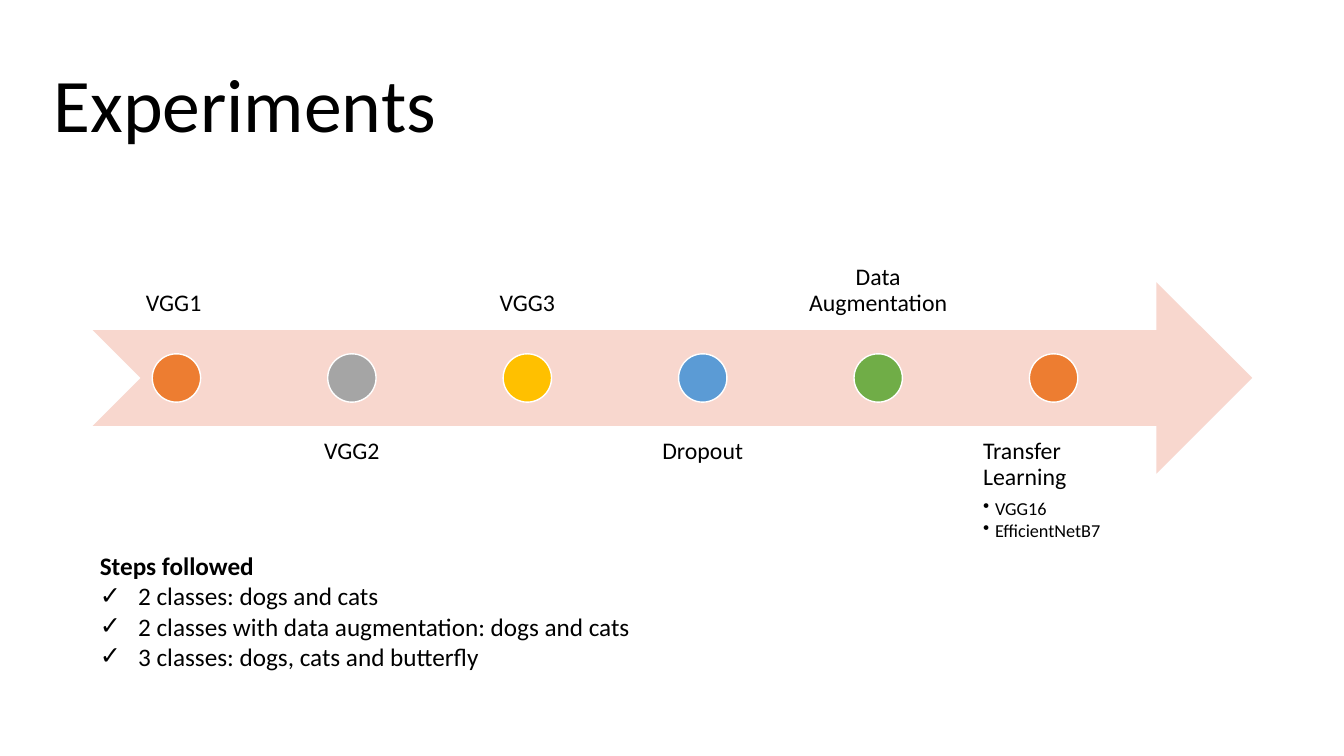
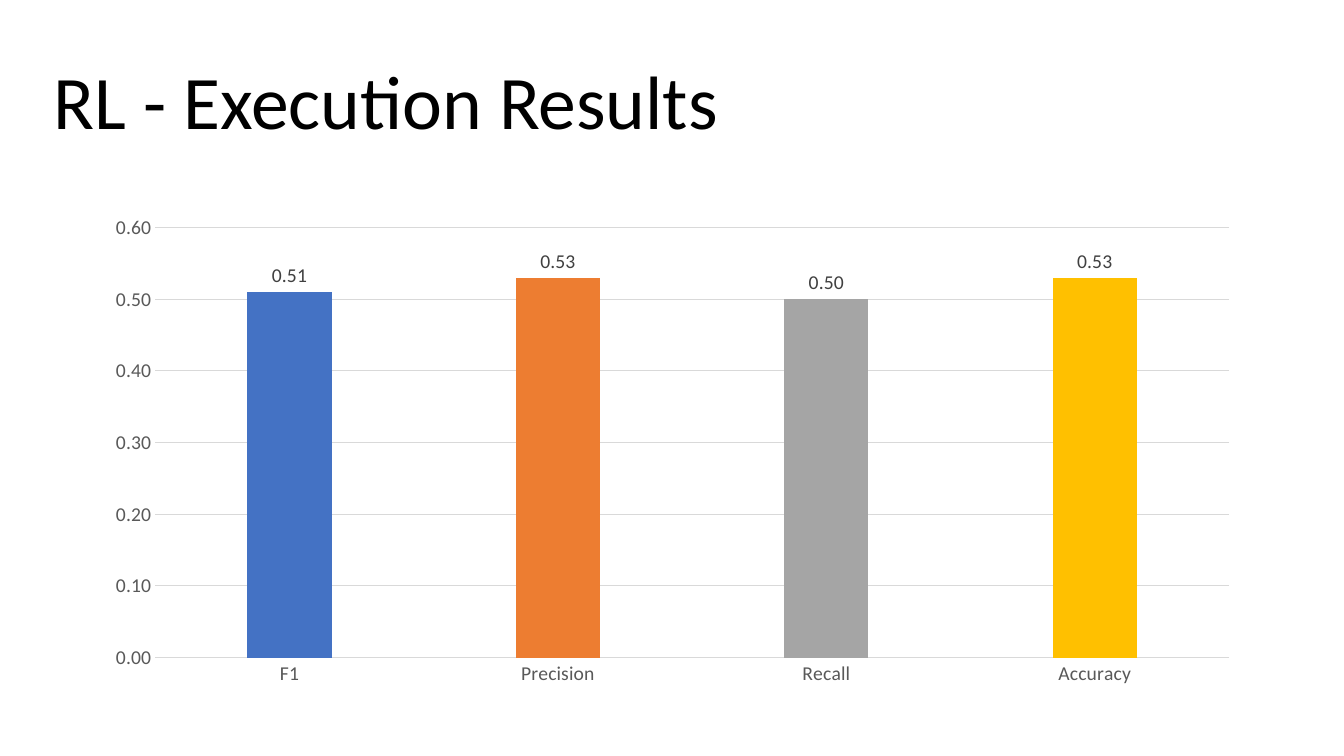
from lxml.etree import SubElement
from pptx import Presentation
from pptx.chart.data import CategoryChartData
from pptx.dml.color import RGBColor
from pptx.enum.chart import XL_CHART_TYPE, XL_LABEL_POSITION, XL_TICK_MARK
from pptx.enum.shapes import MSO_SHAPE
from pptx.enum.text import MSO_ANCHOR, MSO_AUTO_SIZE, PP_ALIGN
from pptx.oxml.ns import qn
from pptx.util import Inches, Pt

FONT = "Calibri"
BLACK, WHITE = "000000", "FFFFFF"
BLUE, ORANGE, GRAY, YELLOW = "4472C4", "ED7D31", "A5A5A5", "FFC000"
LIGHT_BLUE, GREEN, PALE_ORANGE = "5B9BD5", "70AD47", "F8D7CE"
AXIS_TEXT, LABEL_TEXT, GRID = "595959", "404040", "D9D9D9"

TITLE_ONLY, TITLE_AND_BODY = 5, 1
CONTENT_LEFT, CONTENT_WIDTH = 0.92, 11.5
ARROW_TOP, ARROW_HEIGHT = 2.8, 1.9
STEP, LABEL_WIDTH, DOT_SIZE = 1.74, 1.66, 0.48

MILESTONES = [
    ("VGG1 ", ORANGE, []),
    ("VGG2", GRAY, []),
    ("VGG3", YELLOW, []),
    ("Dropout", LIGHT_BLUE, []),
    ("Data Augmentation", GREEN, []),
    ("Transfer Learning", ORANGE, ["VGG16", "EfficientNetB7"]),
]
STEPS_FOLLOWED = [
    "2 classes: dogs and cats",
    "2 classes with data augmentation: dogs and cats",
    "3 classes: dogs, cats and butterfly",
]
RESULTS = [
    ("F1", 0.51, BLUE),
    ("Precision", 0.53, ORANGE),
    ("Recall", 0.5, GRAY),
    ("Accuracy", 0.53, YELLOW),
]


def color(hex_value):
    return RGBColor.from_string(hex_value)


def style_font(font, size, hex_value=BLACK, bold=False):
    font.name = FONT
    font.size = Pt(size)
    font.bold = bold
    font.color.rgb = color(hex_value)


def place(shape, left, top, width, height):
    shape.left, shape.top = Inches(left), Inches(top)
    shape.width, shape.height = Inches(width), Inches(height)


def set_bullet(paragraph, character, indent):
    properties = paragraph._p.get_or_add_pPr()
    properties.set("marL", str(Inches(indent)))
    properties.set("indent", str(-Inches(indent)))
    if character:
        SubElement(properties, qn("a:buChar")).set("char", character)
    else:
        SubElement(properties, qn("a:buNone"))


def add_paragraph(frame, text, size, bold=False, align=PP_ALIGN.LEFT,
                  line_spacing=1.0, space_after=0):
    first = frame.paragraphs[0]
    paragraph = frame.add_paragraph() if first.runs else first
    paragraph.alignment = align
    paragraph.line_spacing = line_spacing
    paragraph.space_before = Pt(0)
    paragraph.space_after = Pt(space_after)
    run = paragraph.add_run()
    run.text = text
    style_font(run.font, size, bold=bold)
    return paragraph


def add_slide(presentation, layout_index, title, title_top):
    slide = presentation.slides.add_slide(presentation.slide_layouts[layout_index])
    shape = slide.shapes.title
    place(shape, 0.43, title_top, 12.48, 1.45)
    frame = shape.text_frame
    frame.vertical_anchor = MSO_ANCHOR.MIDDLE
    frame.auto_size = MSO_AUTO_SIZE.NONE
    add_paragraph(frame, title, 54, line_spacing=0.9)
    return slide


def add_filled_shape(slide, preset, left, top, width, height, fill, line=None):
    shape = slide.shapes.add_shape(
        preset, Inches(left), Inches(top), Inches(width), Inches(height))
    shape.shadow.inherit = False
    shape.fill.solid()
    shape.fill.fore_color.rgb = color(fill)
    if line:
        shape.line.color.rgb = color(line)
        shape.line.width = Pt(1)
    else:
        shape.line.fill.background()


def add_milestone_label(slide, left, above, text, details):
    top = 1.37 if above else 4.23
    box = slide.shapes.add_textbox(
        Inches(left), Inches(top), Inches(LABEL_WIDTH), Inches(ARROW_HEIGHT))
    frame = box.text_frame
    frame.word_wrap = True
    frame.vertical_anchor = MSO_ANCHOR.BOTTOM if above else MSO_ANCHOR.TOP
    frame.margin_left = frame.margin_right = Inches(0.13)
    frame.margin_top = frame.margin_bottom = Inches(0.13)
    align = PP_ALIGN.LEFT if details else PP_ALIGN.CENTER
    add_paragraph(frame, text, 17, align=align, line_spacing=0.9,
                  space_after=6 if details else 0)
    for detail in details:
        paragraph = add_paragraph(frame, detail, 13, line_spacing=0.9, space_after=2)
        set_bullet(paragraph, "•", 0.12)


def add_timeline(slide):
    add_filled_shape(slide, MSO_SHAPE.NOTCHED_RIGHT_ARROW, CONTENT_LEFT, ARROW_TOP,
                     CONTENT_WIDTH, ARROW_HEIGHT, PALE_ORANGE)
    dot_top = ARROW_TOP + (ARROW_HEIGHT - DOT_SIZE) / 2
    for index, (text, fill, details) in enumerate(MILESTONES):
        left = CONTENT_LEFT + index * STEP
        add_milestone_label(slide, left, index % 2 == 0, text, details)
        add_filled_shape(slide, MSO_SHAPE.OVAL, left + (LABEL_WIDTH - DOT_SIZE) / 2,
                         dot_top, DOT_SIZE, DOT_SIZE, fill, WHITE)


def add_checklist(slide, heading, items):
    body = slide.placeholders[1]
    place(body, 0.89, 5.41, 5.52, 1.62)
    frame = body.text_frame
    frame.word_wrap = False
    frame.auto_size = MSO_AUTO_SIZE.NONE
    set_bullet(add_paragraph(frame, heading, 18, bold=True), None, 0)
    for item in items:
        set_bullet(add_paragraph(frame, item, 18), "✓", 0.38)


def style_line(line, hex_value):
    line.color.rgb = color(hex_value)
    line.width = Pt(0.75)


def style_axes(chart):
    for axis in (chart.category_axis, chart.value_axis):
        axis.major_tick_mark = axis.minor_tick_mark = XL_TICK_MARK.NONE
        style_font(axis.tick_labels.font, 14, AXIS_TEXT)
    style_line(chart.category_axis.format.line, GRID)
    value_axis = chart.value_axis
    value_axis.minimum_scale, value_axis.maximum_scale = 0, 0.6
    value_axis.major_unit = 0.1
    value_axis.format.line.fill.background()
    style_line(value_axis.major_gridlines.format.line, GRID)
    value_axis.tick_labels.number_format = "0.00"
    value_axis.tick_labels.number_format_is_linked = False


def add_results_chart(slide):
    names, values, fills = zip(*RESULTS)
    data = CategoryChartData(number_format="0.00")
    data.categories = names
    data.add_series("Series 1", values)
    chart = slide.shapes.add_chart(
        XL_CHART_TYPE.COLUMN_CLUSTERED, Inches(CONTENT_LEFT), Inches(2.04),
        Inches(CONTENT_WIDTH), Inches(4.86), data).chart
    chart.has_title = chart.has_legend = False
    style_font(chart.font, 10)
    style_axes(chart)
    plot = chart.plots[0]
    plot.gap_width = 219
    plot.vary_by_categories = False
    series = plot.series[0]
    series.format.fill.solid()
    series.format.fill.fore_color.rgb = color(BLUE)
    for index, fill in enumerate(fills):
        point_fill = series.points[index].format.fill
        point_fill.solid()
        point_fill.fore_color.rgb = color(fill)
    labels = series.data_labels
    labels.show_value = True
    labels.position = XL_LABEL_POSITION.OUTSIDE_END
    labels.number_format = "0.00"
    labels.number_format_is_linked = False
    style_font(labels.font, 14, LABEL_TEXT)


def main():
    presentation = Presentation()
    presentation.slide_width = Inches(13.33)
    presentation.slide_height = Inches(7.5)

    experiments = add_slide(presentation, TITLE_AND_BODY, "Experiments", 0.35)
    add_timeline(experiments)
    add_checklist(experiments, "Steps followed", STEPS_FOLLOWED)

    results = add_slide(presentation, TITLE_ONLY, "RL - Execution Results", 0.32)
    add_results_chart(results)

    presentation.save("out.pptx")


if __name__ == "__main__":
    main()
